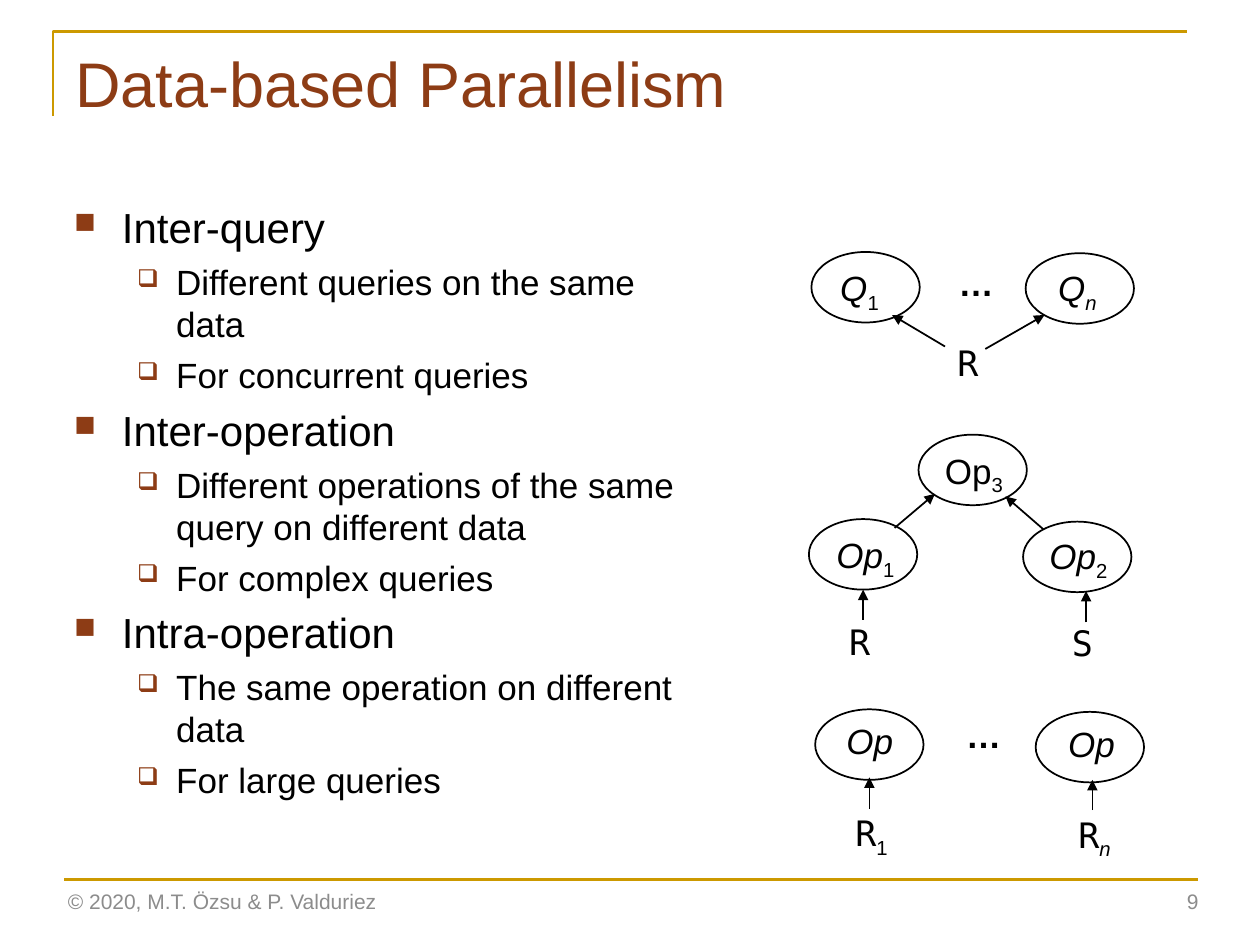
import pptx
import pptx.util
import pptx.dml.color
import pptx.enum.shapes
import pptx.enum.text
import pptx.oxml
import pptx.oxml.ns
from pptx.util import Inches

GOLD = pptx.dml.color.RGBColor(0xCC, 0x99, 0x00)
BROWN = pptx.dml.color.RGBColor(0x8D, 0x3C, 0x15)
BLACK = pptx.dml.color.RGBColor(0, 0, 0)
GRAY = pptx.dml.color.RGBColor(0x8C, 0x8C, 0x8C)
SANS = "Arial"
MONO = "DejaVu Sans Mono"
ELLIPSE_WIDTH, ELLIPSE_HEIGHT = 0.86, 0.56

OUTLINE = [
    ("Inter-query", ["Different queries on the same data", "For concurrent queries"]),
    ("Inter-operation", ["Different operations of the same query on different data",
                         "For complex queries"]),
    ("Intra-operation", ["The same operation on different data", "For large queries"]),
]
# Left and top of each ellipse
ELLIPSES = [(6.44, 2), (8.14, 2.01), (7.29, 3.45), (6.42, 4.12), (8.12, 4.14),
            (6.47, 5.63), (8.22, 5.65)]
# Box, main text, subscript, and formats of the two
OPERATOR_LABELS = [
    ((6.57, 2.07, 0.52, 0.41), "Q", "1", True, False),
    ((8.3, 2.07, 0.52, 0.41), "Q", "n", True, True),
    ((7.4, 3.52, 0.68, 0.41), "Op", "3", False, False),
    ((6.54, 4.19, 0.68, 0.41), "Op", "1", True, False),
    ((8.23, 4.2, 0.68, 0.41), "Op", "2", True, False),
    ((6.62, 5.7, 0.57, 0.41), "Op", "", True, False),
    ((8.38, 5.72, 0.57, 0.41), "Op", "", True, False),
]
RELATION_LABELS = [
    ((7.5, 2.7, 0.4, 0.41), "R", "", False),
    ((6.64, 4.91, 0.37, 0.41), "R", "", False),
    ((8.41, 4.92, 0.37, 0.41), "S", "", False),
    ((6.69, 6.4, 0.48, 0.41), "R", "1", False),
    ((8.46, 6.41, 0.48, 0.41), "R", "n", True),
]
ARROWS = [
    ((7.5, 2.75), (7.08, 2.5)), ((7.82, 2.77), (8.29, 2.5)),
    ((7.1, 4.19), (7.42, 3.92)), ((8.28, 4.2), (7.98, 3.94)),
    ((6.85, 4.92), (6.85, 4.68)), ((8.62, 4.94), (8.62, 4.69)),
    ((6.9, 6.42), (6.9, 6.17)), ((8.67, 6.43), (8.67, 6.19)),
]


def add_child(parent, tag, **attributes):
    child = pptx.oxml.parse_xml(f"<{tag} {pptx.oxml.ns.nsdecls('a')}/>")
    for name, value in attributes.items():
        child.set(name, value)
    parent.append(child)
    return child


def add_run(paragraph, text, size=20, font=SANS, color=BLACK, bold=False,
            italic=False, subscript=False):
    run = paragraph.add_run()
    run.text = text
    run.font.size = pptx.util.Pt(size)
    run.font.name = font
    run.font.color.rgb = color
    run.font.bold = bold
    run.font.italic = italic
    if subscript:
        run.font._element.set("baseline", "-25000")


def add_text(slide, box, text="", wrap=True, align=None, line_spacing=None,
             anchor=pptx.enum.text.MSO_ANCHOR.TOP, **run_format):
    """Add a text box and return its first paragraph and its frame."""
    frame = slide.shapes.add_textbox(*map(Inches, box)).text_frame
    frame.word_wrap = wrap
    frame.vertical_anchor = anchor
    paragraph = frame.paragraphs[0]
    paragraph.alignment = align
    paragraph.line_spacing = line_spacing
    if text:
        add_run(paragraph, text, **run_format)
    return paragraph, frame


def add_label(slide, box, text, subscript, subscript_italic, **run_format):
    paragraph, _ = add_text(slide, box, text, wrap=False, line_spacing=0.9, **run_format)
    if subscript:
        add_run(paragraph, subscript, italic=subscript_italic, subscript=True)


def add_bullet(paragraph, text, symbol, size, level, left, hanging):
    paragraph.level = level
    paragraph.space_before = pptx.util.Pt(5)
    add_run(paragraph, text, size=size)
    properties = paragraph._p.get_or_add_pPr()
    properties.set("marL", str(Inches(left)))
    properties.set("indent", str(-Inches(hanging)))
    color = add_child(properties, "a:buClr")
    add_child(color, "a:srgbClr", val=str(BROWN))
    add_child(properties, "a:buSzPct", val="70000")
    add_child(properties, "a:buChar", char=symbol)


def add_outline(slide):
    paragraph, frame = add_text(slide, (0.49, 1.55, 5.13, 5.34))
    for heading, details in OUTLINE:
        if paragraph is None:
            paragraph = frame.add_paragraph()
        add_bullet(paragraph, heading, "■", 24, 0, 0.38, 0.38)
        paragraph = None
        for detail in details:
            add_bullet(frame.add_paragraph(), detail, "❑", 20, 1, 0.81, 0.31)


def add_line(slide, start, end, color=BLACK, width=1, arrow=False):
    line = slide.shapes.add_connector(
        pptx.enum.shapes.MSO_CONNECTOR.STRAIGHT, *map(Inches, start + end))
    line.line.color.rgb = color
    line.line.width = pptx.util.Pt(width)
    if arrow:
        add_child(line.line._get_or_add_ln(), "a:tailEnd", type="triangle")
    add_child(line._element.spPr, "a:effectLst")


def style_outline(shape, color, width):
    shape.shadow.inherit = False
    shape.fill.background()
    shape.line.color.rgb = color
    shape.line.width = pptx.util.Pt(width)


def add_ellipse(slide, left, top):
    style_outline(slide.shapes.add_shape(
        pptx.enum.shapes.MSO_SHAPE.OVAL, Inches(left), Inches(top),
        Inches(ELLIPSE_WIDTH), Inches(ELLIPSE_HEIGHT)), BLACK, 1)


def add_frame(slide):
    builder = slide.shapes.build_freeform(Inches(0.42), Inches(0.92))
    builder.add_line_segments(
        [(Inches(0.42), Inches(0.25)), (Inches(9.42), Inches(0.25))], close=False)
    style_outline(builder.convert_to_shape(), GOLD, 1.5)
    add_line(slide, (0.51, 6.98), (9.51, 6.98), GOLD, 1.5)


def add_diagrams(slide):
    for left, top in ELLIPSES:
        add_ellipse(slide, left, top)
    for start, end in ARROWS:
        add_line(slide, start, end, arrow=True)
    for box, text, subscript, italic, subscript_italic in OPERATOR_LABELS:
        add_label(slide, box, text, subscript, subscript_italic, italic=italic)
    for box, text, subscript, subscript_italic in RELATION_LABELS:
        add_label(slide, box, text, subscript, subscript_italic, font=MONO)
    for box in [(7.51, 2.03, 0.48, 0.43), (7.57, 5.61, 0.48, 0.43)]:
        add_text(slide, box, "…", wrap=False, bold=True)


def add_footer(slide):
    footer = {"size": 12, "color": GRAY, "anchor": pptx.enum.text.MSO_ANCHOR.MIDDLE}
    add_text(slide, (0.44, 6.95, 3.38, 0.4), "© 2020, M.T. Özsu & P. Valduriez", **footer)
    add_text(slide, (7.36, 6.95, 2.25, 0.4), "9",
             align=pptx.enum.text.PP_ALIGN.RIGHT, **footer)


def main():
    presentation = pptx.Presentation()
    presentation.slide_width = Inches(10)
    presentation.slide_height = Inches(7.5)
    slide = presentation.slides.add_slide(presentation.slide_layouts[6])
    add_frame(slide)
    add_text(slide, (0.5, 0.3, 9, 1.25), "Data-based Parallelism", size=36, color=BROWN)
    add_outline(slide)
    add_diagrams(slide)
    add_footer(slide)
    presentation.save("out.pptx")


if __name__ == "__main__":
    main()
